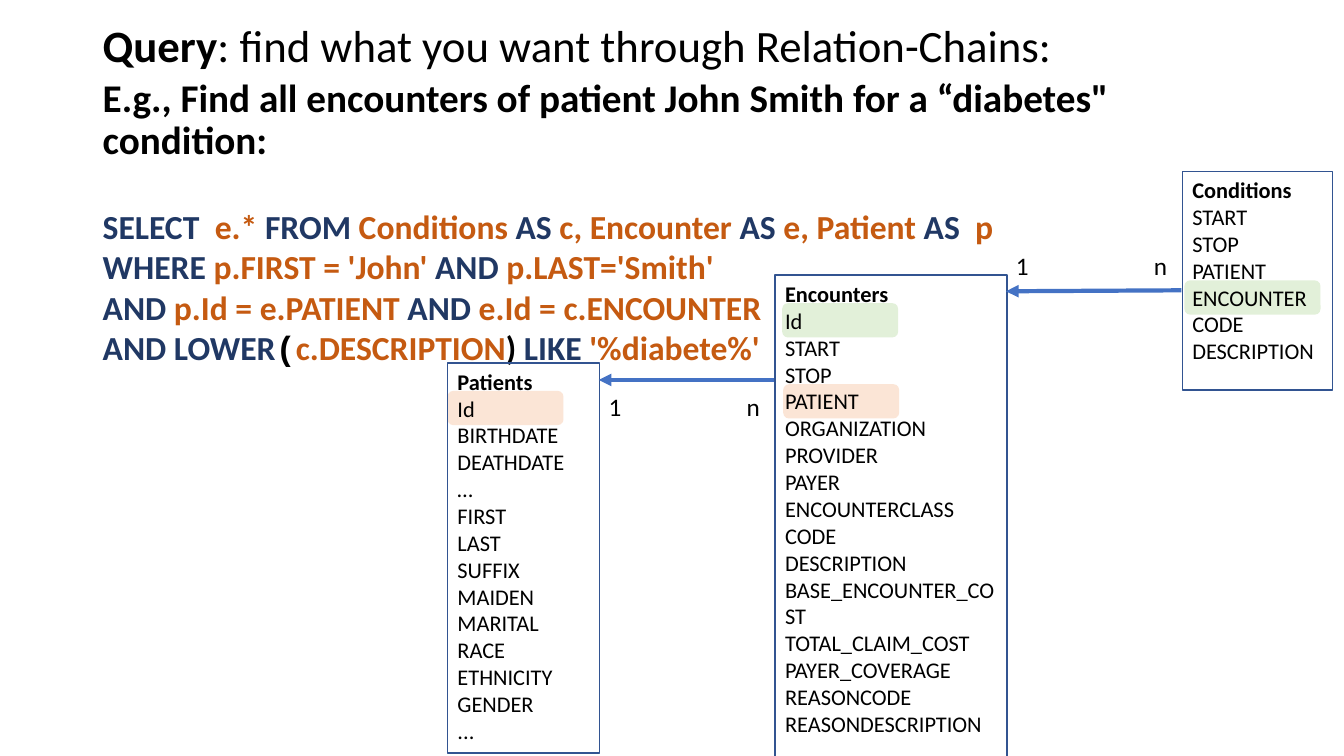
from dataclasses import dataclass

from lxml import etree
from pptx import Presentation
from pptx import util as u
from pptx.dml.color import RGBColor
from pptx.enum import shapes, text
from pptx.oxml.ns import qn

# The grid has ten columns and ten rows to the inch.
CELL = u.Inches(0.1)
COLUMNS, ROWS = 133.33, 75
TEXT_INSET, FIELD_ROW = 0.5, 2.68

BLACK, NAVY, ORANGE = "000000", "203864", "C55A11"
OUTLINE, ARROW = "325491", "4472C4"
GREEN, PEACH = "E2F0D9", "FBE5D6"


@dataclass
class Span:
    words: str
    color: str = BLACK
    bold: bool = True
    font: str = "Calibri"


@dataclass
class Line:
    spans: list[Span]
    size: float
    spacing: float = 1.0
    before: float = 0


@dataclass
class Highlight:
    field: str
    color: str
    indent: float
    width: float = 11.5


@dataclass
class Entity:
    name: str
    fields: list[str]
    left: float
    top: float
    width: float
    height: float
    highlights: list[Highlight]


@dataclass
class Relation:
    start: tuple[float, float]
    end: tuple[float, float]
    label_top: float
    label_width: float


def cells(*counts: float) -> list[int]:
    return [u.Emu(round(count * CELL)) for count in counts]


def rgb(color: str) -> RGBColor:
    return RGBColor.from_string(color)


def write(frame, lines: list[Line]) -> None:
    frame.word_wrap = True
    frame.vertical_anchor = text.MSO_ANCHOR.TOP
    for index, line in enumerate(lines):
        para = frame.paragraphs[0] if index == 0 else frame.add_paragraph()
        para.alignment = text.PP_ALIGN.LEFT
        para.line_spacing = line.spacing
        if line.before:
            para.space_before = u.Pt(line.before)
        for span in line.spans:
            run = para.add_run()
            run.text = span.words
            run.font.name = span.font
            run.font.size = u.Pt(line.size)
            run.font.bold = span.bold
            run.font.color.rgb = rgb(span.color)


def draw_entity(page, entity: Entity) -> None:
    for mark in entity.highlights:
        row = entity.fields.index(mark.field) + 1
        top = entity.top + TEXT_INSET + row * FIELD_ROW - 0.4
        band = page.shapes.add_shape(
            shapes.MSO_SHAPE.ROUNDED_RECTANGLE,
            *cells(entity.left + mark.indent, top, mark.width, 3.4))
        band.shadow.inherit = False
        band.fill.solid()
        band.fill.fore_color.rgb = rgb(mark.color)
        band.line.fill.background()
    box = page.shapes.add_shape(
        shapes.MSO_SHAPE.RECTANGLE,
        *cells(entity.left, entity.top, entity.width, entity.height))
    box.shadow.inherit = False
    box.fill.background()
    box.line.color.rgb = rgb(OUTLINE)
    box.line.width = u.Pt(1)
    write(box.text_frame, [Line([Span(entity.name)], 16)]
          + [Line([Span(field, bold=False)], 16) for field in entity.fields])


def draw_relation(page, relation: Relation) -> None:
    """Draw the arrow and, near it, the 1 and n at its two ends."""
    arrow = page.shapes.add_connector(
        shapes.MSO_CONNECTOR.STRAIGHT, *cells(*relation.start, *relation.end))
    arrow.line.color.rgb = rgb(ARROW)
    arrow.line.width = u.Pt(3)
    etree.SubElement(arrow.line._get_or_add_ln(), qn("a:tailEnd"), type="triangle")
    etree.SubElement(arrow._element.spPr, qn("a:effectLst"))

    label = page.shapes.add_textbox(
        *cells(relation.end[0], relation.label_top, relation.label_width, 4))
    properties = label.text_frame.paragraphs[0]._p.get_or_add_pPr()
    tabs = etree.SubElement(properties, qn("a:tabLst"))
    etree.SubElement(tabs, qn("a:tab"), pos=str(cells(15)[0]), algn="r")
    write(label.text_frame, [Line([Span("1\tn", bold=False)], 18)])


def draw_query(page, lines: list[Line]) -> None:
    box = page.shapes.add_textbox(*cells(9.2, 0, 115.1, 14.5))
    box.text_frame.margin_top = cells(2.4)[0]
    write(box.text_frame, lines)


def sql(*words: str) -> list[Span]:
    """Colour words by turns as keyword and operand."""
    return [Span(word, (NAVY, ORANGE)[index % 2]) for index, word in enumerate(words)]


QUERY = [
    Line([Span("Query"),
          Span(": find what you want through Relation-Chains:", bold=False)], 32, 0.9),
    Line([Span("E.g., Find all encounters of patient John Smith for a “diabetes\" condition:")],
         28, 0.9, 4),
    Line(sql("SELECT  ", "e.* ", "FROM ", "Conditions ", "AS ", "c, Encounter ",
             "AS ", "e, Patient ", "AS  ", "p"), 24, before=30.7),
    Line(sql("WHERE ", "p.FIRST = 'John' ", "AND ", "p.LAST='Smith'"), 24),
    Line(sql("AND ", "p.Id = e.PATIENT ", "AND ", "e.Id = c.ENCOUNTER"), 24),
    Line([Span("AND LOWER", NAVY), Span("(", font="Courier New"),
          Span("c.DESCRIPTION", ORANGE), Span(") "), *sql("LIKE ", "'%diabete%'")], 24),
]

CONDITIONS = Entity(
    "Conditions",
    ["START", "STOP", "PATIENT", "ENCOUNTER", "CODE", "DESCRIPTION"],
    117.3, 17, 14.9, 21.7, [Highlight("ENCOUNTER", GREEN, 0.2, 13.5)])
ENCOUNTERS = Entity(
    "Encounters",
    ["Id", "START", "STOP", "PATIENT", "ORGANIZATION", "PROVIDER", "PAYER",
     "ENCOUNTERCLASS", "CODE", "DESCRIPTION", "BASE_ENCOUNTER_COST",
     "TOTAL_CLAIM_COST", "PAYER_COVERAGE", "REASONCODE", "REASONDESCRIPTION"],
    76.9, 27.3, 23, 48.3,
    [Highlight("PATIENT", PEACH, 0.8), Highlight("Id", GREEN, 0.7)])
PATIENTS = Entity(
    "Patients",
    ["Id", "BIRTHDATE", "DEATHDATE", "…", "FIRST", "LAST", "SUFFIX", "MAIDEN",
     "MARITAL", "RACE", "ETHNICITY", "GENDER", "..."],
    44.4, 36, 15.1, 38.7, [Highlight("Id", PEACH, 0)])
RELATIONS = [
    Relation((76.8, 37.7), (59.4, 37.7), 38.3, 17.4),
    Relation((117.2, 28.8), (99.8, 28.9), 24.3, 19.5),
]


def main() -> None:
    deck = Presentation()
    deck.slide_width, deck.slide_height = cells(COLUMNS, ROWS)
    page = deck.slides.add_slide(deck.slide_layouts[6])
    draw_entity(page, CONDITIONS)
    draw_query(page, QUERY)
    for entity in (ENCOUNTERS, PATIENTS):
        draw_entity(page, entity)
    for relation in RELATIONS:
        draw_relation(page, relation)
    deck.save("out.pptx")


if __name__ == "__main__":
    main()
